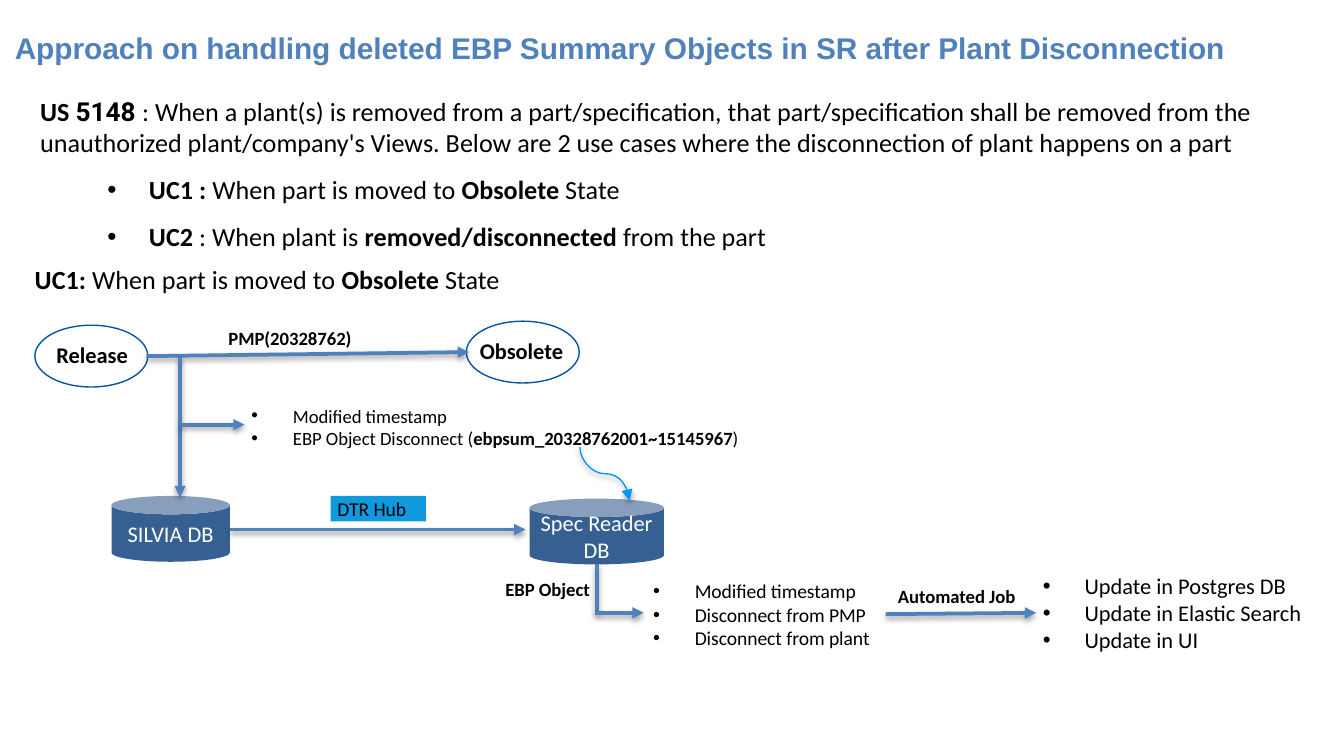
"""Build the slide on handling deleted EBP Summary Objects after plant disconnection."""
from lxml import etree
from pptx import Presentation
from pptx.dml.color import RGBColor
from pptx.enum.shapes import MSO_CONNECTOR, MSO_SHAPE
from pptx.enum.text import MSO_ANCHOR, MSO_AUTO_SIZE, PP_ALIGN
from pptx.oxml.ns import qn
from pptx.util import Inches, Pt

STRAIGHT, CURVE = MSO_CONNECTOR.STRAIGHT, MSO_CONNECTOR.CURVE
OVAL, CAN, RECTANGLE = MSO_SHAPE.OVAL, MSO_SHAPE.CAN, MSO_SHAPE.RECTANGLE
TOP, MIDDLE = MSO_ANCHOR.TOP, MSO_ANCHOR.MIDDLE
LEFT, CENTER = PP_ALIGN.LEFT, PP_ALIGN.CENTER
NO_FIT, GROW = MSO_AUTO_SIZE.NONE, MSO_AUTO_SIZE.SHAPE_TO_FIT_TEXT

BLACK = RGBColor(0x00, 0x00, 0x00)
WHITE = RGBColor(0xFF, 0xFF, 0xFF)
BLUE = RGBColor(0x4F, 0x81, 0xBD)
OUTLINE = RGBColor(0x06, 0x52, 0xA6)
DATABASE = RGBColor(0x37, 0x60, 0x92)
HUB = RGBColor(0x11, 0x99, 0xDD)
CURVE_BLUE = RGBColor(0x00, 0x99, 0xFF)


def write(shape, lines, size, color=BLACK, bullet_from=None, indent=0.31,
          spacing=1.0, inset=0.05, align=LEFT, **frame_format):
    """Fill a shape with paragraphs; asterisks switch bold on and off."""
    frame = shape.text_frame
    frame_values = dict(word_wrap=True, vertical_anchor=TOP, auto_size=NO_FIT,
                        margin_left=Inches(inset), margin_right=Inches(inset),
                        margin_top=Inches(0.05), margin_bottom=Inches(0.05))
    for name, value in (frame_values | frame_format).items():
        setattr(frame, name, value)
    for index, line in enumerate(lines):
        para = frame.add_paragraph() if index else frame.paragraphs[0]
        para.alignment = align
        if bullet_from is not None and index >= bullet_from:
            properties = para._p.get_or_add_pPr()
            properties.set("marL", str(Inches(indent)))
            properties.set("indent", str(-Inches(0.31)))
            etree.SubElement(properties, qn("a:buFont"), typeface="Arial")
            etree.SubElement(properties, qn("a:buChar"), char="•")
            para.line_spacing = spacing
        for part, text in enumerate(line.split("*")):
            if text:
                span = para.add_run()
                span.text = text
                font_values = dict(name="Calibri", size=Pt(size), bold=part % 2 == 1)
                for name, value in font_values.items():
                    setattr(span.font, name, value)
                span.font.color.rgb = color


def connect(kind, start, end, color, width, arrow=True):
    """Draw a connector with a soft shadow and an optional arrowhead."""
    connector = page.shapes.add_connector(kind, *map(Inches, start + end))
    connector.line.color.rgb = color
    connector.line.width = Pt(width)
    if arrow:
        etree.SubElement(connector.line._get_or_add_ln(), qn("a:tailEnd"), type="triangle")
    effects = etree.SubElement(connector._element.spPr, qn("a:effectLst"))
    shadow = etree.SubElement(effects, qn("a:outerShdw"), blurRad=str(Pt(3)),
                              dist=str(Pt(1.6)), dir="5400000", rotWithShape="0")
    tint = etree.SubElement(shadow, qn("a:srgbClr"), val=str(BLACK))
    etree.SubElement(tint, qn("a:alpha"), val="38000")
    return connector


deck = Presentation()
deck.slide_width, deck.slide_height = Inches(10), Inches(10 * 9 / 16)
page = deck.slides.add_slide(deck.slide_layouts[5])

title = page.shapes.title
title_place = dict(left=0.01, top=0.22, width=9.89, height=0.34)
for name, value in title_place.items():
    setattr(title, name, Inches(value))
write(title, ["*Approach on handling deleted EBP Summary Objects in SR "
              "after Plant Disconnection*"], 16, BLUE, inset=0.1)
title_para = title.text_frame.paragraphs[0]
title_para.line_spacing = 0.8
title_para.runs[0].font.name = "Arial"

intro = page.shapes.add_textbox(*map(Inches, (0.2, 0.66, 9.68, 1.24)))
write(intro, [
    "*US **5148 *: When a plant(s) is removed from a part/specification, that "
    "part/specification shall be removed from the unauthorized plant/company's Views. "
    "Below are 2 use cases where the disconnection of plant happens on a part",
    "*UC1 : *When part is moved to *Obsolete* State",
    "*UC2* : When plant is *removed/disconnected *from the part",
], 14, bullet_from=1, indent=0.81, spacing=1.5, inset=0.1, auto_size=GROW)
intro.text_frame.paragraphs[0].runs[1].font.name = "Roboto"

heading = page.shapes.add_textbox(*map(Inches, (0.16, 1.91, 9.68, 0.34)))
write(heading, ["*UC1: *When part is moved to *Obsolete* State"], 14,
      inset=0.1, auto_size=GROW)

for left, top in [(0.26, 2.42), (3.47, 2.39)]:
    state = page.shapes.add_shape(OVAL, *map(Inches, (left, top, 0.84, 0.46)))
    state.shadow.inherit = False
    state.fill.background()
    state.line.color.rgb = OUTLINE
    state.line.width = Pt(0.75)

labels = [
    ("Release", 12, (0.37, 2.49, 0.64, 0.3)),
    ("Obsolete", 12, (3.52, 2.46, 0.73, 0.3)),
    ("PMP(20328762)", 10, (1.65, 2.38, 1.04, 0.27)),
    ("EBP Object", 10, (3.71, 4.25, 0.74, 0.27)),
    ("Automated Job", 10, (6.63, 4.3, 0.99, 0.27)),
]
for text, size, place in labels:
    label = page.shapes.add_textbox(*map(Inches, place))
    write(label, [f"*{text}*"], size, word_wrap=False, auto_size=GROW)

bullet_lists = [
    (["Modified timestamp", "EBP Object Disconnect (*ebpsum_20328762001~15145967*)"],
     10, (1.82, 2.96, 3.81, 0.44), True),
    (["Modified timestamp", "Disconnect from PMP", "Disconnect from plant"],
     10.5, (4.81, 4.26, 1.74, 0.63), False),
    (["Update in Postgres DB", "Update in Elastic Search", "Update in UI"],
     12, (7.71, 4.21, 2.06, 0.71), False),
]
for lines, size, place, wrap in bullet_lists:
    box = page.shapes.add_textbox(*map(Inches, place))
    write(box, lines, size, bullet_from=0, word_wrap=wrap, auto_size=GROW)

blocks = [
    (CAN, "SILVIA DB", 12, (0.83, 3.69, 0.88, 0.49), DATABASE, WHITE, CENTER),
    (CAN, "Spec Reader DB", 12, (3.94, 3.71, 1, 0.49), DATABASE, WHITE, CENTER),
    (RECTANGLE, "DTR Hub", 10.5, (2.46, 3.69, 0.71, 0.19), HUB, BLACK, LEFT),
]
for kind, text, size, place, fill, color, align in blocks:
    block = page.shapes.add_shape(kind, *map(Inches, place))
    block.shadow.inherit = False
    block.fill.solid()
    block.fill.fore_color.rgb = fill
    block.line.fill.background()
    if kind == CAN:
        block.adjustments[0] = 0.28
    write(block, [text], size, color, align=align, vertical_anchor=MIDDLE)

arrows = [
    ((1.09, 2.65), (3.49, 2.62), True),
    ((1.34, 2.66), (1.34, 3.7), True),
    ((1.34, 3.16), (1.82, 3.16), True),
    ((1.71, 3.94), (3.91, 3.94), True),
    ((4.44, 4.2), (4.44, 4.56), False),
    ((4.43, 4.56), (4.79, 4.56), True),
    ((6.59, 4.57), (7.71, 4.56), True),
]
for start, end, arrow in arrows:
    connect(STRAIGHT, start, end, BLUE, 2, arrow)

curve = connect(CURVE, (4.7, 3.34), (4.3, 3.71), CURVE_BLUE, 0.75)
curve._element.spPr.find(qn("a:xfrm")).set("rot", str(270 * 60000))

deck.save("out.pptx")
